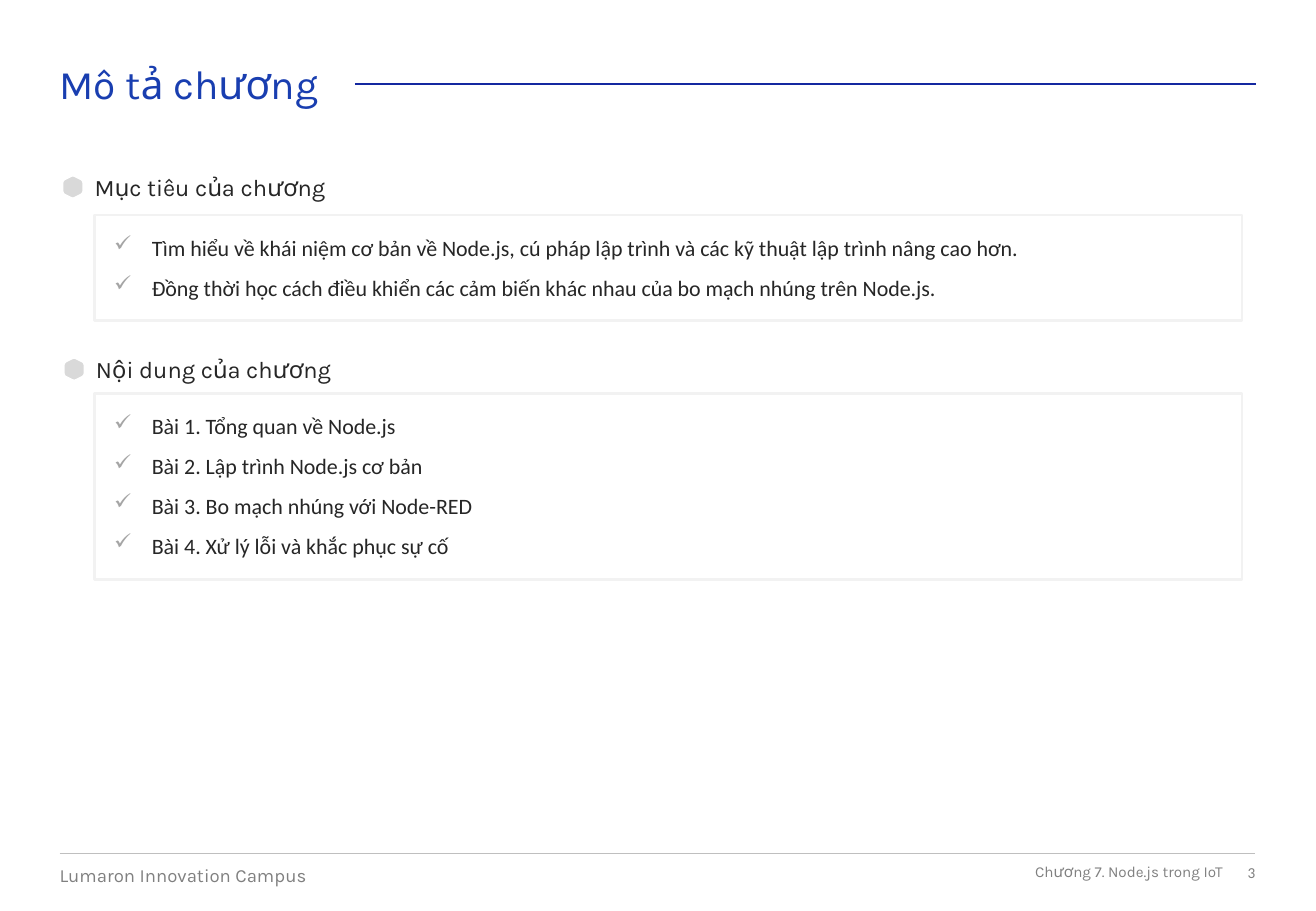
"""Build the chapter description slide."""
import lxml.etree
import pptx
import pptx.dml.color
import pptx.enum.shapes
import pptx.enum.text
import pptx.oxml.ns
import pptx.util

PX = 9144
TEXT_COLOR = "262626"
FOOTER_COLOR = "808080"
ALIGN = pptx.enum.text.PP_ALIGN
ANCHOR = pptx.enum.text.MSO_ANCHOR
HEXAGON_QUARTER = [(12, 0), (9, 1), (3, 4), (1, 6), (0, 9)]

SECTIONS = [
    (78, 142, "Mục tiêu của chương", 177, 87, [
        "Tìm hiểu về khái niệm cơ bản về Node.js, cú pháp lập trình và các kỹ thuật lập trình nâng cao hơn.",
        "Đồng thời học cách điều khiển các cảm biến khác nhau của bo mạch nhúng trên Node.js.",
    ]),
    (79, 292, "Nội dung của chương", 324, 153, [
        "Bài 1. Tổng quan về Node.js",
        "Bài 2. Lập trình Node.js cơ bản",
        "Bài 3. Bo mạch nhúng với Node-RED",
        "Bài 4. Xử lý lỗi và khắc phục sự cố",
    ]),
]


def px(*lengths):
    """Turn px lengths into EMU."""
    return [pptx.util.Emu(length * PX) for length in lengths]


def color(value):
    """Turn a hex string into a colour."""
    return pptx.dml.color.RGBColor.from_string(value)


def set_line(line, value, width):
    """Set the colour and the width in points of a line."""
    line.color.rgb = color(value)
    line.width = pptx.util.Pt(width)


def set_frame(frame, margin, anchor):
    """Set wrapping, equal insets and anchor of a text frame."""
    frame.word_wrap = True
    frame.auto_size = pptx.enum.text.MSO_AUTO_SIZE.SHAPE_TO_FIT_TEXT
    frame.vertical_anchor = anchor
    frame.margin_left, frame.margin_top, frame.margin_right, frame.margin_bottom = px(*[margin] * 4)


def add_run(paragraph, text, size, font, value):
    """Add one formatted run to a paragraph."""
    run = paragraph.add_run()
    run.text = text
    run.font.size = pptx.util.Pt(size)
    run.font.name = font
    run.font.color.rgb = color(value)


def add_label(slide, box, text, size, value, font="Karla", align=ALIGN.LEFT, anchor=ANCHOR.TOP):
    """Add a one-line text box."""
    frame = slide.shapes.add_textbox(*px(*box)).text_frame
    set_frame(frame, 0, anchor)
    paragraph = frame.paragraphs[0]
    paragraph.alignment = align
    add_run(paragraph, text, size, font, value)


def add_rule(slide, left, right, y, value, width):
    """Add a horizontal line."""
    rule = slide.shapes.add_connector(pptx.enum.shapes.MSO_CONNECTOR.STRAIGHT, *px(left, y, right, y))
    set_line(rule.line, value, width)
    properties = rule._element.spPr
    lxml.etree.SubElement(properties, pptx.oxml.ns.qn("a:effectLst"))


def add_hexagon(slide, left, top):
    """Add the rounded hexagon that marks a section."""
    half = HEXAGON_QUARTER + [(x, 26 - y) for x, y in reversed(HEXAGON_QUARTER)]
    outline = half + [(24 - x, y) for x, y in reversed(half[1:-1])]
    points = [(left + x, top + y) for x, y in outline]
    builder = slide.shapes.build_freeform(*points[0], scale=PX)
    builder.add_line_segments(points[1:], close=True)
    hexagon = builder.convert_to_shape()
    hexagon.shadow.inherit = False
    hexagon.fill.solid()
    hexagon.fill.fore_color.rgb = color("D9D9D9")
    set_line(hexagon.line, "FFFFFF", 6)


def add_check_mark(paragraph):
    """Give a paragraph a hanging grey check mark."""
    properties = paragraph._p.get_or_add_pPr()
    properties.set("marL", str(31 * PX))
    properties.set("indent", str(-31 * PX))
    qn = pptx.oxml.ns.qn
    bullet_color = lxml.etree.SubElement(properties, qn("a:buClr"))
    lxml.etree.SubElement(bullet_color, qn("a:srgbClr"), val="A5A5A5")
    lxml.etree.SubElement(properties, qn("a:buChar"), char="✓")


def add_checklist(slide, box, items):
    """Add a framed list with check marks."""
    rectangle = slide.shapes.add_shape(pptx.enum.shapes.MSO_SHAPE.RECTANGLE, *px(*box))
    rectangle.shadow.inherit = False
    rectangle.fill.background()
    set_line(rectangle.line, "F2F2F2", 1.5)
    frame = rectangle.text_frame
    set_frame(frame, 16, ANCHOR.TOP)
    for index, item in enumerate(items):
        paragraph = frame.add_paragraph() if index else frame.paragraphs[0]
        add_check_mark(paragraph)
        paragraph.alignment = ALIGN.LEFT
        paragraph.space_after = pptx.util.Pt(8)
        add_run(paragraph, item, 13, "Calibri", TEXT_COLOR)


def add_footer(slide):
    """Add the footer line and its three texts."""
    add_rule(slide, 49, 1033, 703, "BFBFBF", 0.5)
    add_label(slide, (966, 711, 67, 15), "3", 9, FOOTER_COLOR, "Calibri", ALIGN.RIGHT, ANCHOR.MIDDLE)
    add_label(slide, (49, 711, 316, 19), "Lumaron Innovation Campus", 11, FOOTER_COLOR)
    add_label(slide, (417, 710, 589, 15), "Chương 7. Node.js trong IoT", 9, FOOTER_COLOR,
              align=ALIGN.RIGHT, anchor=ANCHOR.MIDDLE)


def main():
    """Build and save the slide."""
    presentation = pptx.Presentation()
    presentation.slide_width, presentation.slide_height = px(1083, 750)
    slide = presentation.slides.add_slide(presentation.slide_layouts[6])
    add_footer(slide)
    add_label(slide, (49, 49, 240, 40), "Mô tả chương", 24, "193EB0")
    add_rule(slide, 292, 1034, 69, "1428A0", 1)
    for left, top, heading, list_top, list_height, items in SECTIONS:
        add_label(slide, (left, top, 944, 24), heading, 14, TEXT_COLOR)
        add_hexagon(slide, left - 30, top - 1)
        add_checklist(slide, (78, list_top, 944, list_height), items)
    presentation.save("out.pptx")


if __name__ == "__main__":
    main()
